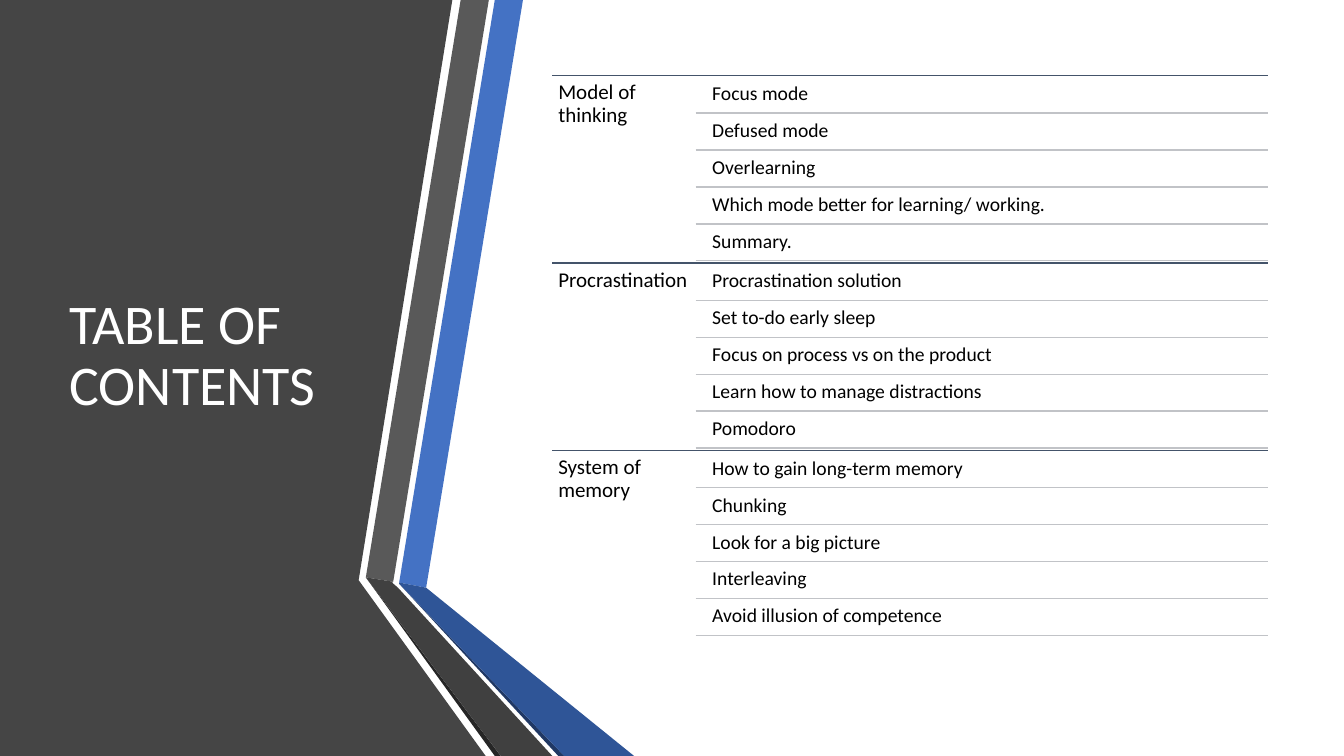
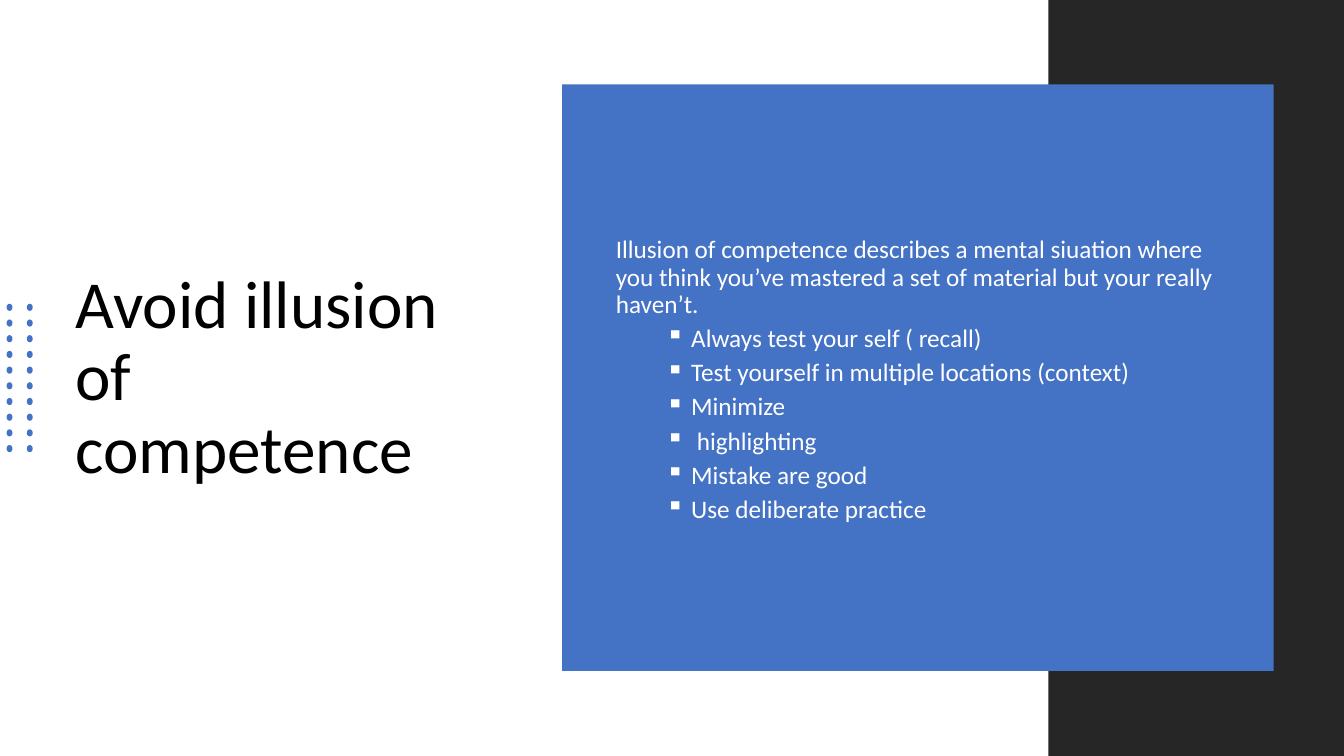
from lxml import etree
from pptx import Presentation
from pptx.dml.color import RGBColor
from pptx.enum.shapes import MSO_CONNECTOR as Connector, MSO_SHAPE as Preset
from pptx.enum.text import MSO_ANCHOR as Anchor, MSO_AUTO_SIZE as AutoSize, PP_ALIGN as Align
from pptx.oxml.ns import qn
from pptx.util import Cm, Pt

WIDTH, HEIGHT = 33.87, 19.05
FONT = "Calibri"
COLORS = {
    "white": "FFFFFF", "black": "000000", "panel": "454545",
    "blue": "4472C4", "blue_fold": "2F5597", "blue_edge": "203864",
    "gray": "595959", "gray_fold": "404040", "dark": "262626",
    "section_rule": "44546A", "item_rule": "C1C3C7",
}

# Outlines in centimetres, from back to front
RIBBONS = [
    ("panel", [(0, 0), (11.4, 0), (9.04, 14.62), (12.24, HEIGHT), (0, HEIGHT)]),
    ("blue", [(10.06, 14.68), (10.74, 14.81), (13.18, 0), (12.47, 0)]),
    ("gray", [(12.32, 0), (11.61, 0), (9.22, 14.55), (9.91, 14.66)]),
    ("dark", [(9.22, 14.55), (12.47, HEIGHT), (12.62, HEIGHT)]),
    ("blue_edge", [(10.06, 14.71), (14.07, HEIGHT), (14.22, HEIGHT)]),
    ("blue_fold", [(10.06, 14.71), (14.22, HEIGHT), (15.98, HEIGHT),
                   (10.74, 14.81), (10.06, 14.68)]),
    ("gray_fold", [(13.92, HEIGHT), (10.03, 14.81), (9.88, 14.68), (9.91, 14.66),
                   (9.22, 14.55), (12.62, HEIGHT)]),
]

SECTIONS = {
    "Model of thinking": [
        "Focus mode", "Defused mode", "Overlearning",
        "Which mode better for learning/ working.", "Summary."],
    "Procrastination": [
        "Procrastination solution", "Set to-do early sleep",
        "Focus on process vs on the product",
        "Learn how to manage distractions", "Pomodoro"],
    "System of memory": [
        "How to gain long-term memory", "Chunking", "Look for a big picture",
        "Interleaving", "Avoid illusion of competence"],
}

DEFINITION = ("Illusion of competence describes a mental siuation where you think "
              "you’ve mastered a set of material but your really haven’t.")
ADVICE = ["Always test your self ( recall)", "Test yourself in multiple locations (context)",
          "Minimize", " highlighting", "Mistake are good", "Use deliberate practice"]


def rgb(color):
    return RGBColor.from_string(COLORS[color])


class Deck:
    def __init__(self):
        self.prs = Presentation()
        self.prs.slide_width, self.prs.slide_height = Cm(WIDTH), Cm(HEIGHT)
        self.slide = None

    def new_slide(self):
        self.slide = self.prs.slides.add_slide(self.prs.slide_layouts[5])

    def style(self, paragraph, size, color, before=0):
        paragraph.alignment = Align.LEFT
        paragraph.line_spacing = 0.9
        paragraph.space_before = Pt(before)
        for run in paragraph.runs:
            run.font.name, run.font.size = FONT, Pt(size)
            run.font.color.rgb = rgb(color)

    def title(self, wording, left, top, width, height, size, color):
        """Place the title in front of everything drawn so far."""
        heading = self.slide.shapes.title
        heading.left, heading.top = Cm(left), Cm(top)
        heading.width, heading.height = Cm(width), Cm(height)
        frame = heading.text_frame
        frame.text = wording
        frame.word_wrap = True
        frame.auto_size = AutoSize.NONE
        frame.vertical_anchor = Anchor.MIDDLE
        self.style(frame.paragraphs[0], size, color)
        heading.element.getparent().append(heading.element)

    def paint(self, shape, color):
        shape.shadow.inherit = False
        shape.fill.solid()
        shape.fill.fore_color.rgb = rgb(color)
        shape.line.fill.background()

    def outline(self, points, color):
        start, *rest = [(Cm(x), Cm(y)) for x, y in points]
        builder = self.slide.shapes.build_freeform(*start, scale=1.0)
        builder.add_line_segments(rest, close=True)
        self.paint(builder.convert_to_shape(), color)

    def shape(self, preset, left, top, width, height, color, rotation=0):
        figure = self.slide.shapes.add_shape(preset, Cm(left), Cm(top), Cm(width), Cm(height))
        figure.rotation = rotation
        self.paint(figure, color)

    def rule(self, left, right, y, color):
        line = self.slide.shapes.add_connector(
            Connector.STRAIGHT, Cm(left), Cm(y), Cm(right), Cm(y))
        line.line.color.rgb = rgb(color)
        line.line.width = Pt(1)
        etree.SubElement(line.element.spPr, qn("a:effectLst"))

    def text_box(self, left, top, width, height):
        frame = self.slide.shapes.add_textbox(
            Cm(left), Cm(top), Cm(width), Cm(height)).text_frame
        frame.word_wrap = True
        return frame

    def label(self, wording, left, top, width, height, size):
        frame = self.text_box(left, top, width, height)
        frame.margin_left = frame.margin_right = Cm(0.15)
        frame.margin_top = frame.margin_bottom = Cm(0.15)
        frame.text = wording
        self.style(frame.paragraphs[0], size, "black")

    def bulleted_text(self, intro, bullets, left, top, width, height):
        frame = self.text_box(left, top, width, height)
        frame.vertical_anchor = Anchor.MIDDLE
        frame.text = intro
        self.style(frame.paragraphs[0], 18, "white", before=10)
        for wording in bullets:
            bullet = frame.add_paragraph()
            bullet.text = wording
            bullet.level = 1
            self.style(bullet, 18, "white", before=5)
            properties = bullet._p.get_or_add_pPr()
            properties.set("marL", str(Cm(1.9)))
            properties.set("indent", str(Cm(-0.64)))
            etree.SubElement(properties, qn("a:buChar"), char="▪")


def contents_slide(deck):
    deck.new_slide()
    for color, points in RIBBONS:
        deck.outline(points, color)
    deck.title("TABLE OF CONTENTS", 1.5, 1.91, 7.72, 14.17, 40, "white")

    left, right, item_left, rule_left = 13.92, 31.95, 17.8, 17.53
    section_height, item_height, item_pitch = 4.72, 0.89, 0.93
    for index, (section, items) in enumerate(SECTIONS.items()):
        section_top = 1.91 + index * section_height
        deck.rule(left, right, section_top, "section_rule")
        deck.label(section, left, section_top, rule_left - left, section_height, 15)
        for row, item in enumerate(items):
            item_top = section_top + 0.05 + row * item_pitch
            deck.label(item, item_left, item_top, right - item_left, item_height, 14)
            deck.rule(rule_left, right, item_top + item_height, "item_rule")


def competence_slide(deck):
    deck.new_slide()
    deck.title("Avoid illusion of competence", 1.65, 2.9, 10.57, 13.31, 48, "black")
    dot_rows, dot_span = 10, 3.56
    for row in range(dot_rows):
        dot_top = 7.67 + row * dot_span / (dot_rows - 1)
        for dot_left in (0.15, 0.66):
            deck.shape(Preset.OVAL, dot_left, dot_top, 0.18, 0.15, "blue", rotation=90)
    deck.shape(Preset.RECTANGLE, 26.42, 0, WIDTH - 26.42, HEIGHT, "dark")
    deck.shape(Preset.RECTANGLE, 14.17, 2.13, 17.93, 14.78, "blue")
    deck.bulleted_text(DEFINITION, ADVICE, 15.27, 3.28, 15.72, 12.62)


def main():
    deck = Deck()
    contents_slide(deck)
    competence_slide(deck)
    deck.prs.save("out.pptx")


if __name__ == "__main__":
    main()
